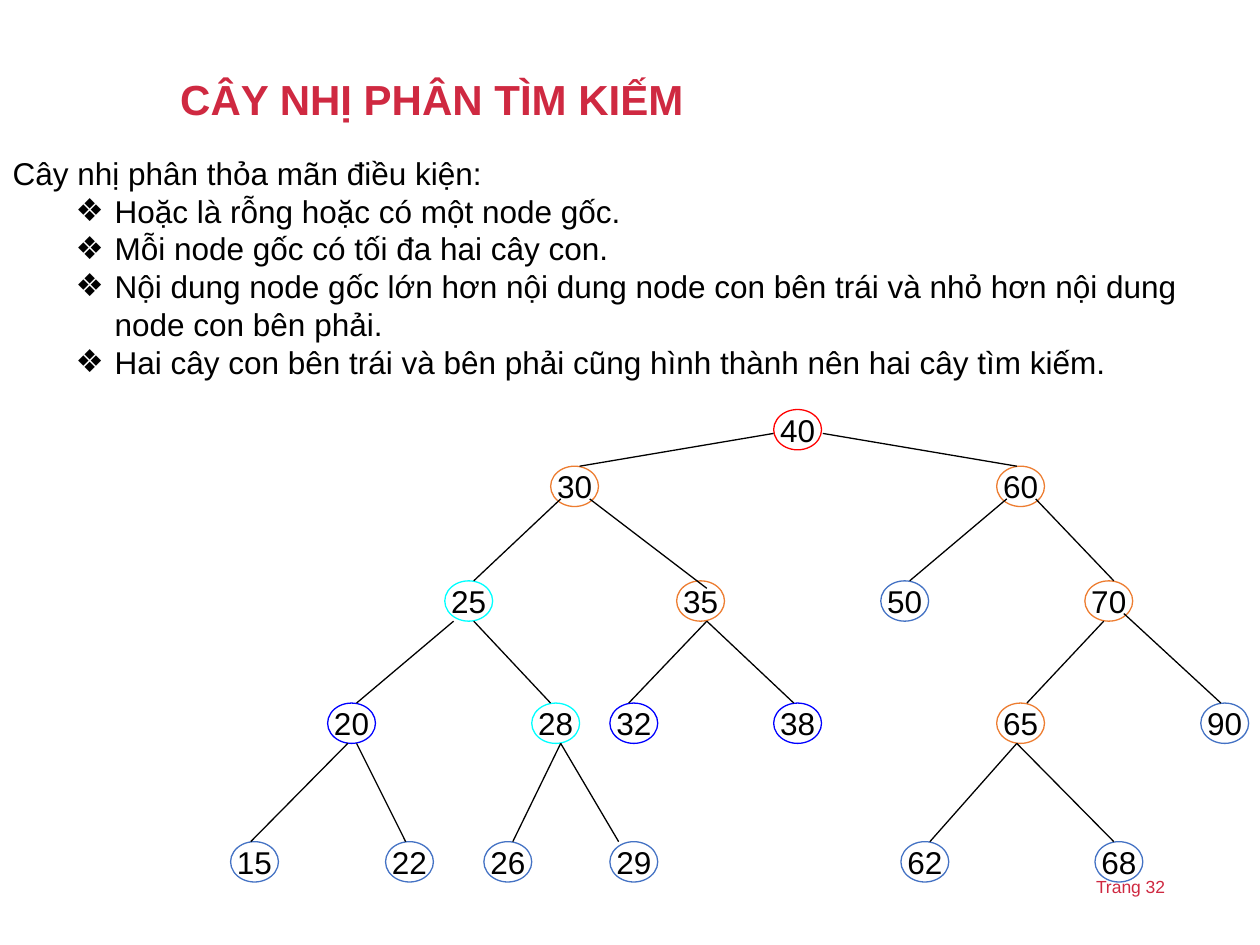
from dataclasses import dataclass

from lxml import etree
from pptx import Presentation
from pptx.dml.color import RGBColor
from pptx.enum.shapes import MSO_CONNECTOR, MSO_SHAPE
from pptx.enum.text import MSO_ANCHOR, MSO_AUTO_SIZE, PP_ALIGN
from pptx.oxml.ns import qn
from pptx.util import Inches, Pt

OVAL = MSO_SHAPE.OVAL
STRAIGHT = MSO_CONNECTOR.STRAIGHT
TOP, MIDDLE = MSO_ANCHOR.TOP, MSO_ANCHOR.MIDDLE
LEFT, CENTER = PP_ALIGN.LEFT, PP_ALIGN.CENTER
NO_AUTOFIT = MSO_AUTO_SIZE.NONE


@dataclass(frozen=True)
class Theme:
    """Fonts, colours, type sizes and line width of the slide."""
    font: str = "Arial"
    accent: str = "CF2941"
    ink: str = "000000"
    red: str = "FF0000"
    orange: str = "ED7D31"
    cyan: str = "00FFFF"
    blue: str = "0000FF"
    steel: str = "4472C4"
    title_size: float = 24
    text_size: float = 18
    page_size: float = 10
    line_width: float = 0.74


THEME = Theme()

CONDITION = "Cây nhị phân thỏa mãn điều kiện:"
RULES = [
    "Hoặc là rỗng hoặc có một node gốc.",
    "Mỗi node gốc có tối đa hai cây con.",
    "Nội dung node gốc lớn hơn nội dung node con bên trái và nhỏ hơn nội dung node con bên phải.",
    "Hai cây con bên trái và bên phải cũng hình thành nên hai cây tìm kiếm.",
]

NODE_WIDTH, NODE_HEIGHT = 0.38, 0.32
LEVEL_TOPS = [0, 0.45, 1.36, 2.33, 3.43]
LEVELS = [
    [(40, 4.31, THEME.red)],
    [(30, 2.54, THEME.orange), (60, 6.08, THEME.orange)],
    [(25, 1.7, THEME.cyan), (35, 3.54, THEME.orange),
     (50, 5.16, THEME.steel), (70, 6.78, THEME.orange)],
    [(20, 0.77, THEME.blue), (28, 2.39, THEME.cyan), (32, 3.01, THEME.blue),
     (38, 4.31, THEME.blue), (65, 6.08, THEME.orange), (90, 7.7, THEME.steel)],
    [(15, 0, THEME.steel), (22, 1.23, THEME.steel), (26, 2.01, THEME.steel),
     (29, 3.01, THEME.steel), (62, 5.32, THEME.steel), (68, 6.86, THEME.steel)],
]
BRANCHES = [
    (40, (0, 0.19), 30, (0.23, 0)), (40, (0.39, 0.19), 60, (0.16, 0)),
    (30, (0.08, 0.26), 25, (0.23, 0)), (30, (0.31, 0.26), 35, (0.24, 0.06)),
    (60, (0.08, 0.26), 50, (0.23, 0)), (60, (0.31, 0.26), 70, (0.23, 0)),
    (25, (0.07, 0.32), 20, (0.23, 0)), (25, (0.23, 0.32), 28, (0.15, 0)),
    (35, (0.24, 0.32), 32, (0.15, 0)), (35, (0.24, 0.32), 38, (0.16, 0)),
    (70, (0.15, 0.32), 65, (0.24, 0)), (70, (0.31, 0.26), 90, (0.16, 0)),
    (20, (0.16, 0.32), 15, (0.16, 0)), (20, (0.23, 0.32), 22, (0.16, 0)),
    (28, (0.23, 0.32), 26, (0.23, 0)), (28, (0.23, 0.32), 29, (0.07, 0)),
    (65, (0.16, 0.32), 62, (0.23, 0)), (65, (0.16, 0.32), 68, (0.15, 0)),
]


def place(shape, box):
    """Move a shape to a box given in inches."""
    shape.left, shape.top, shape.width, shape.height = map(Inches, box)


def style(paragraph, size, color, bold=False, align=LEFT):
    """Format a paragraph and its runs."""
    paragraph.alignment = align
    for run in paragraph.runs:
        run.font.name = THEME.font
        run.font.size = Pt(size)
        run.font.bold = bold
        run.font.color.rgb = RGBColor.from_string(color)


def set_bullet(paragraph, indent, hanging, mark=None):
    """Set the indent of a paragraph and its bullet, if any."""
    properties = paragraph._p.get_or_add_pPr()
    properties.set("marL", str(Inches(indent)))
    properties.set("indent", str(Inches(-hanging)))
    if mark:
        etree.SubElement(properties, qn("a:buChar")).set("char", mark)
    else:
        etree.SubElement(properties, qn("a:buNone"))


def add_title(slide, box):
    """Fill the title placeholder."""
    title = slide.shapes.title
    place(title, box)
    frame = title.text_frame
    frame.text = "CÂY NHỊ PHÂN TÌM KIẾM"
    frame.vertical_anchor = MIDDLE
    frame.auto_size = NO_AUTOFIT
    heading = frame.paragraphs[0]
    heading.line_spacing = 0.9
    style(heading, THEME.title_size, THEME.accent, bold=True)


def add_conditions(slide, box):
    """Fill the body placeholder with the condition and its rules."""
    body = slide.placeholders[1]
    place(body, box)
    frame = body.text_frame
    frame.text = "\n".join([CONDITION, *RULES])
    frame.vertical_anchor = TOP
    frame.auto_size = NO_AUTOFIT
    for index, paragraph in enumerate(frame.paragraphs):
        paragraph.space_before = Pt(0)
        style(paragraph, THEME.text_size, THEME.ink)
        if index:
            paragraph.level = 1
            set_bullet(paragraph, 0.81, 0.31, "❖")
        else:
            set_bullet(paragraph, 0, 0)


def add_node(tree, value, color, left, top):
    """Draw one outlined node with its value."""
    node = tree.shapes.add_shape(OVAL, 0, 0, 0, 0)
    place(node, (left, top, NODE_WIDTH, NODE_HEIGHT))
    node.shadow.inherit = False
    node.fill.background()
    node.line.color.rgb = RGBColor.from_string(color)
    node.line.width = Pt(THEME.line_width)
    frame = node.text_frame
    frame.text = str(value)
    frame.word_wrap = False
    frame.vertical_anchor = MIDDLE
    style(frame.paragraphs[0], THEME.text_size, THEME.ink, align=CENTER)


def add_branch(tree, start, end):
    """Draw one line between two points."""
    branch = tree.shapes.add_connector(STRAIGHT, *map(Inches, (*start, *end)))
    branch.line.color.rgb = RGBColor.from_string(THEME.ink)
    branch.line.width = Pt(THEME.line_width)
    etree.SubElement(branch._element.spPr, qn("a:effectLst"))


def add_search_tree(slide, left, top):
    """Draw the search tree from its top left corner."""
    tree = slide.shapes.add_group_shape()
    corners = {}
    for level_top, level in zip(LEVEL_TOPS, LEVELS):
        for value, offset, color in level:
            corners[value] = (left + offset, top + level_top)
            add_node(tree, value, color, *corners[value])
    for parent, exit_offset, child, entry_offset in BRANCHES:
        start = [a + b for a, b in zip(corners[parent], exit_offset)]
        end = [a + b for a, b in zip(corners[child], entry_offset)]
        add_branch(tree, start, end)


def add_page_number(slide, box):
    """Write the page label."""
    label = slide.shapes.add_textbox(*map(Inches, box))
    frame = label.text_frame
    frame.word_wrap = True
    frame.text = "Trang 32"
    style(frame.paragraphs[0], THEME.page_size, THEME.accent)


def main():
    """Build and save the slide."""
    deck = Presentation()
    deck.slide_width, deck.slide_height = Inches(10), Inches(7.5)
    slide = deck.slides.add_slide(deck.slide_layouts[1])
    add_page_number(slide, (8.6, 6.9, 1.21, 0.27))
    add_conditions(slide, (0, 1.17, 9.75, 1.9))
    add_search_tree(slide, 1.83, 3.25)
    add_title(slide, (1.33, 0.4, 7.98, 0.82))
    deck.save("out.pptx")


main()
